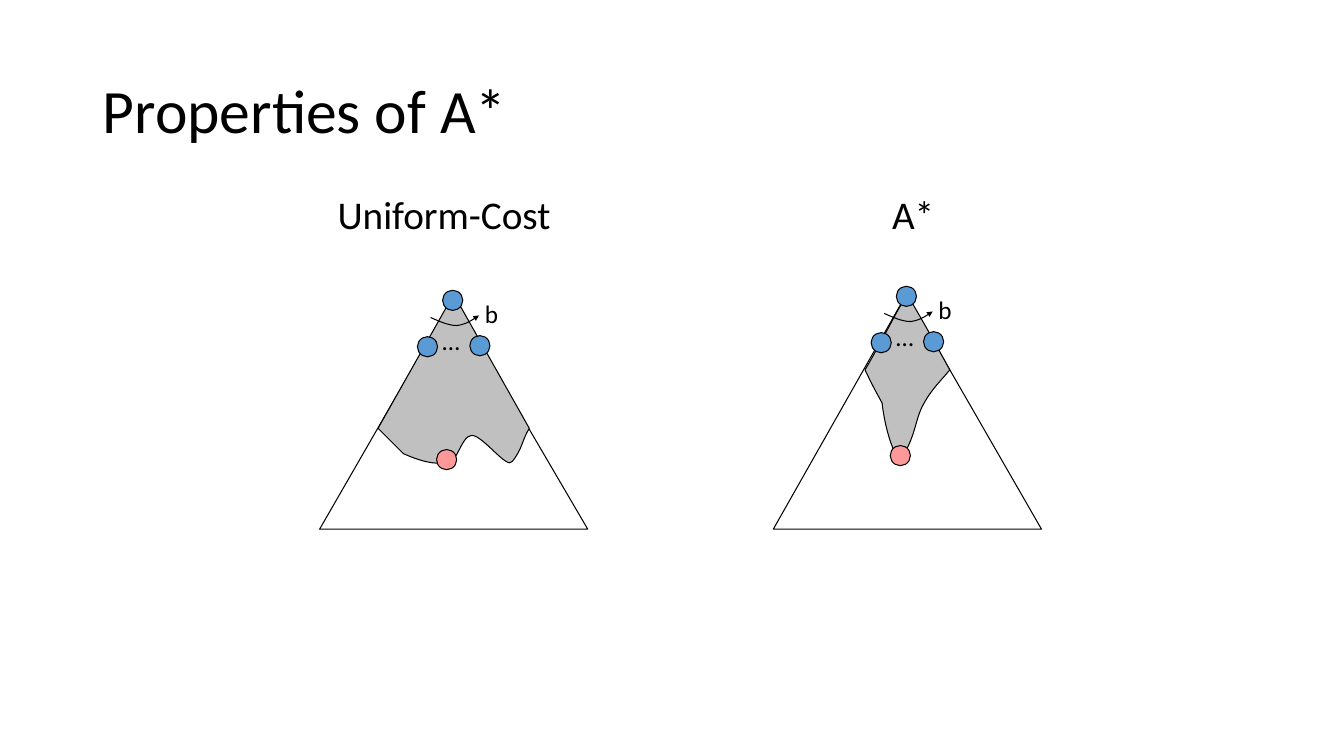
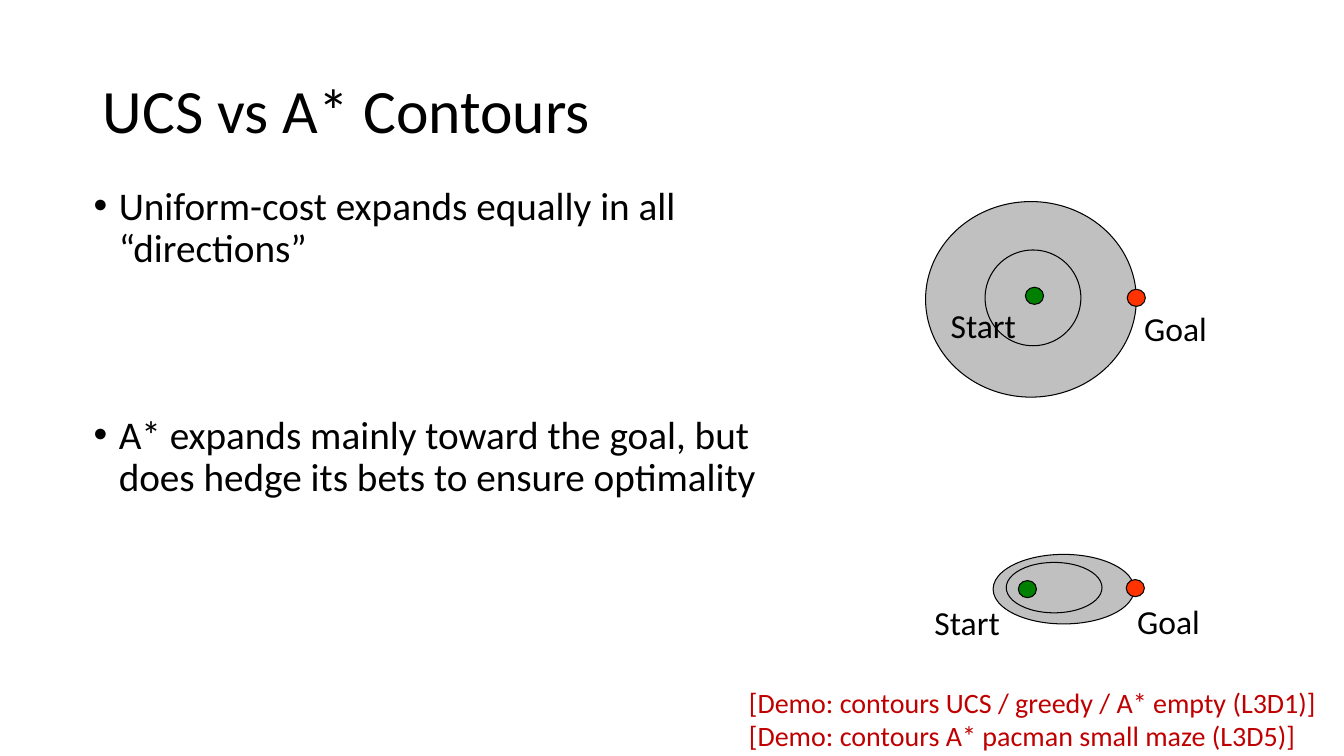
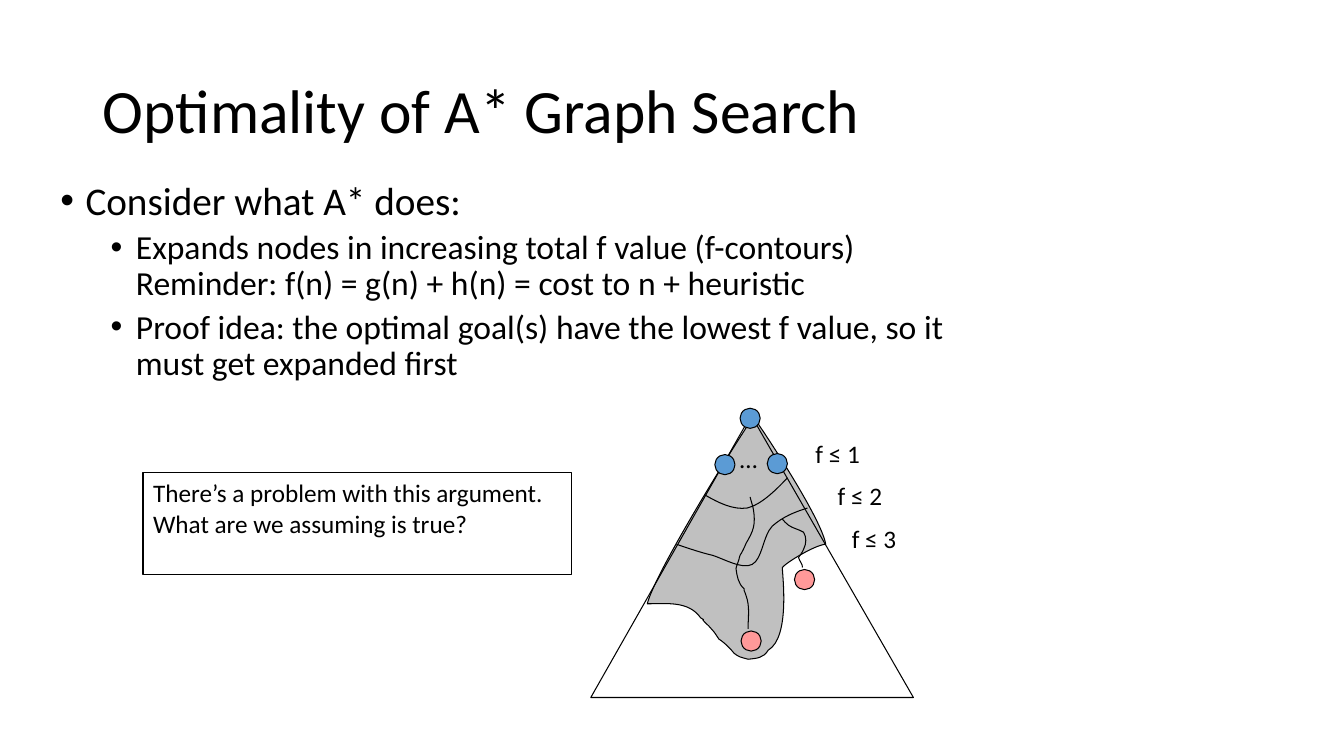
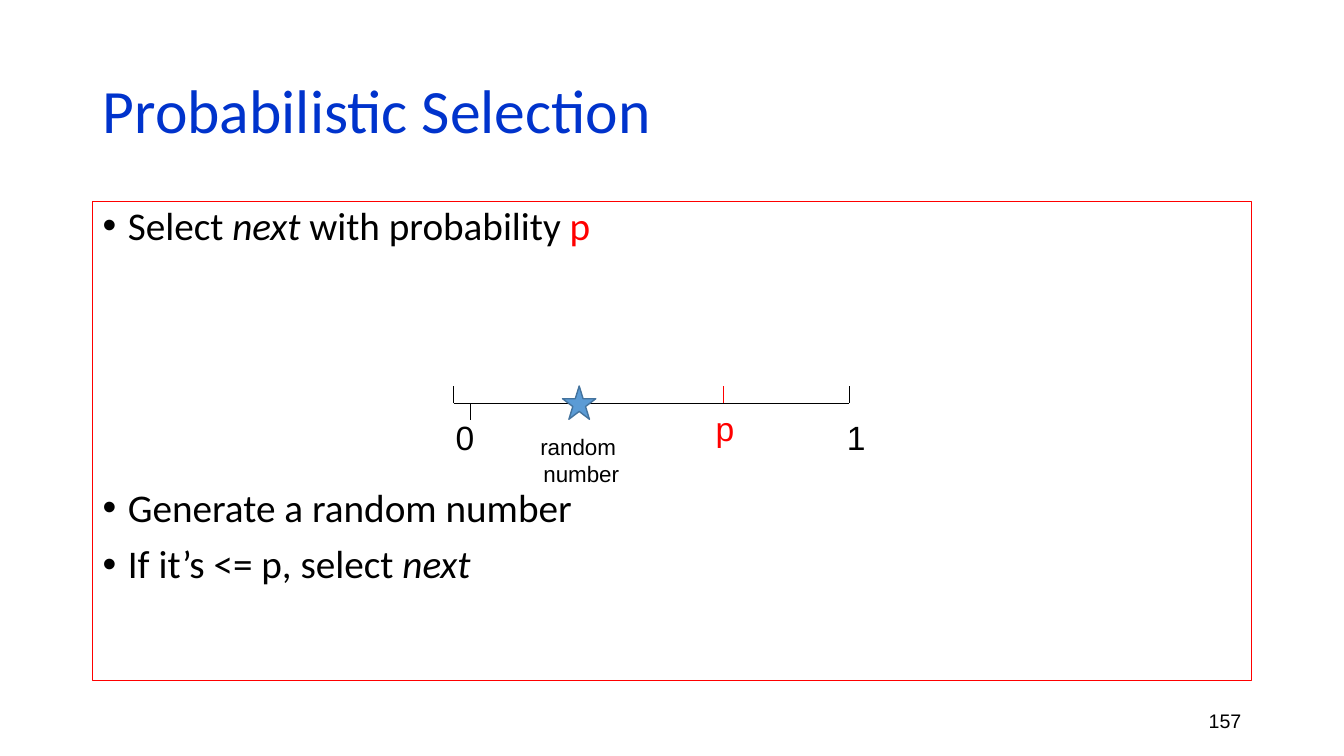
from lxml.etree import SubElement
from pptx import Presentation
from pptx.dml.color import RGBColor
from pptx.enum.shapes import MSO_CONNECTOR, MSO_SHAPE
from pptx.enum.text import MSO_ANCHOR, PP_ALIGN
from pptx.oxml.ns import qn
from pptx.util import Pt

# Scale: 100 px to the inch
PX = 9144

# Colours
BLACK = RGBColor(0x00, 0x00, 0x00)
WHITE = RGBColor(0xFF, 0xFF, 0xFF)
GREY = RGBColor(0xC0, 0xC0, 0xC0)
NODE_BLUE = RGBColor(0x5B, 0x9B, 0xD5)
STAR_EDGE = RGBColor(0x43, 0x73, 0x9E)
GOAL_PINK = RGBColor(0xFF, 0x99, 0x99)
START_GREEN = RGBColor(0x00, 0x80, 0x00)
GOAL_RED = RGBColor(0xFF, 0x33, 0x00)
RED = RGBColor(0xFF, 0x00, 0x00)
DEMO_RED = RGBColor(0xC0, 0x00, 0x00)
TITLE_BLUE = RGBColor(0x00, 0x33, 0xCC)


class Painter:
    """Holds the deck's style and the current slide."""

    font = "Calibri"
    bullet_sizes = (28, 24)

    def __init__(self):
        self.deck = Presentation()
        self.deck.slide_width = 1333 * PX
        self.deck.slide_height = 750 * PX
        self.page = None

    def add_page(self, title, color=BLACK):
        self.page = self.deck.slides.add_slide(self.deck.slide_layouts[5])
        box = self.page.shapes.title
        box.left, box.top, box.width, box.height = (v * PX for v in (92, 40, 1150, 145))
        box.text_frame.vertical_anchor = MSO_ANCHOR.MIDDLE
        para = box.text_frame.paragraphs[0]
        para.alignment = PP_ALIGN.LEFT
        para.line_spacing = 0.9
        self.add_span(para, title, 44, color)

    # Text
    def add_span(self, para, text, size, color=BLACK, italic=False, font=None):
        for index, line in enumerate(text.split("\n")):
            if index:
                para.add_line_break()
            span = para.add_run()
            span.text = line
            span.font.name = font or self.font
            span.font.size = Pt(size)
            span.font.italic = italic
            span.font.color.rgb = color

    def text_box(self, x, y, width, height):
        box = self.page.shapes.add_textbox(x * PX, y * PX, width * PX, height * PX)
        box.text_frame.word_wrap = True
        return box

    def label(self, text, x, y, width, height, size, color=BLACK, font=None,
              align=PP_ALIGN.LEFT, tab=None):
        box = self.text_box(x, y, width, height)
        for index, line in enumerate(text.split("\n")):
            para = box.text_frame.add_paragraph() if index else box.text_frame.paragraphs[0]
            para.alignment = align
            if tab:
                stops = SubElement(para._p.get_or_add_pPr(), qn("a:tabLst"))
                SubElement(stops, qn("a:tab"), pos=str(tab * PX), algn="l")
            self.add_span(para, line, size, color, font=font)
        return box

    def bullets(self, x, y, width, height, items):
        """Each item is (level, space before, [(text, span options), ...])."""
        box = self.text_box(x, y, width, height)
        for index, (level, space, spans) in enumerate(items):
            para = box.text_frame.add_paragraph() if index else box.text_frame.paragraphs[0]
            para.level = level
            properties = para._p.get_or_add_pPr()
            properties.set("marL", str((25 + 50 * level) * PX))
            properties.set("indent", str(-25 * PX))
            SubElement(properties, qn("a:buFont"), typeface="Arial")
            SubElement(properties, qn("a:buChar"), char="•")
            para.line_spacing = 0.9
            para.space_before = Pt(space)
            for text, options in spans:
                self.add_span(para, text, self.bullet_sizes[level], **options)
        return box

    # Shapes
    def finish(self, shape, fill, line=BLACK, weight=0.75):
        shape.shadow.inherit = False
        if fill is None:
            shape.fill.background()
        else:
            shape.fill.solid()
            shape.fill.fore_color.rgb = fill
        shape.line.color.rgb = line
        shape.line.width = Pt(weight)
        return shape

    def preset(self, kind, x, y, width, height, fill=None, **outline):
        shape = self.page.shapes.add_shape(kind, x * PX, y * PX, width * PX, height * PX)
        return self.finish(shape, fill, **outline)

    def oval(self, x, y, width, height, fill=None):
        return self.preset(MSO_SHAPE.OVAL, x, y, width, height, fill)

    def node(self, x, y, fill=NODE_BLUE):
        """A tree node centred at x, y."""
        self.oval(x - 10, y - 10, 20, 20, fill)

    def outline(self, start, segments, fill=None, close=False, arrow=False):
        """Segments are line ends (x, y) or cubic curves (six numbers)."""
        builder = self.page.shapes.build_freeform(start[0] * PX, start[1] * PX, scale=1.0)
        builder.add_line_segments([(s[-2] * PX, s[-1] * PX) for s in segments], close=close)
        shape = self.finish(builder.convert_to_shape(), fill)
        for step, segment in zip(shape._element.xpath(".//a:lnTo"), segments):
            if len(segment) == 6:
                self.bend(step, segment, shape.left, shape.top)
        if arrow:
            SubElement(shape.line._get_or_add_ln(), qn("a:tailEnd"),
                       type="triangle", w="sm", len="sm")

    def bend(self, step, curve, left, top):
        """Turn one straight step of an outline into a cubic curve."""
        step.tag = qn("a:cubicBezTo")
        for point in list(step):
            step.remove(point)
        for x, y in zip(curve[::2], curve[1::2]):
            SubElement(step, qn("a:pt"), x=str(x * PX - left), y=str(y * PX - top))

    def line(self, x1, y1, x2, y2, color=BLACK):
        connector = self.page.shapes.add_connector(
            MSO_CONNECTOR.STRAIGHT, x1 * PX, y1 * PX, x2 * PX, y2 * PX)
        connector.line.color.rgb = color
        connector.line.width = Pt(0.5)
        SubElement(connector._element.spPr, qn("a:effectLst"))

    # Search tree parts
    def triangle(self, left, right, bottom, apex_x, apex_y):
        self.outline((left, bottom), [(right, bottom), (apex_x, apex_y)], close=True)

    def root_and_children(self, x, y):
        self.node(x - 25, y + 46)
        self.node(x + 27, y + 45)
        self.label("…", x - 20, y + 20, 30, 40, 18)
        self.node(x, y)

    def branching(self, x, y):
        """Root, children and the branching arrow marked b."""
        self.outline((x - 22, y + 17),
                     [(x - 13, y + 21, x - 4, y + 25, x + 4, y + 25),
                      (x + 12, y + 24, x + 19, y + 20, x + 26, y + 15)], arrow=True)
        self.label("b", x + 22, y - 7, 33, 40, 18)
        self.root_and_children(x, y)

    def contour(self, outer, inner, start, goal, start_label, goal_label):
        """Nested search contours with a start and a goal."""
        self.oval(*outer, GREY)
        self.oval(*inner)
        for spot, color, text, place in ((start, START_GREEN, "Start", start_label),
                                         (goal, GOAL_RED, "Goal", goal_label)):
            self.oval(*spot, 18, 17, color)
            self.label(text, *place, 100, 50, 24)


def properties_page(paint):
    paint.add_page("Properties of A*")
    uniform_area = ((450, 292), [
        (375, 425), (400, 450), (400, 450, 429, 464, 442, 458),
        (453, 464, 457, 432, 468, 432), (479, 432, 503, 466, 508, 458),
        (518, 446, 518, 436, 525, 425)])
    star_area = ((900, 292), [
        (885, 316, 884, 322, 858, 367), (866, 384, 868, 387, 875, 400),
        (875, 400, 878, 434, 892, 458), (909, 433, 907, 417, 916, 401),
        (924, 386, 934, 377, 942, 367), (917, 321, 910, 310, 900, 292)])
    trees = (("Uniform-Cost", 325, 250, 449, 298, 296, uniform_area),
             ("A*", 875, 67, 899, 294, 292, star_area))
    for name, name_x, name_width, x, y, apex_y, area in trees:
        paint.triangle(x - 132, x + 134, 525, x, apex_y)
        paint.outline(*area, fill=GREY, close=True)
        paint.branching(x, y)
        paint.node(x - 6, y + 158, GOAL_PINK)
        paint.label(name, name_x, 184, name_width, 57, 28)


def contours_page(paint):
    paint.add_page("UCS vs A* Contours")
    paint.bullets(83, 180, 733, 495, [
        (0, 0, [("Uniform-cost expands equally in all “directions”", {})]),
        (0, 103, [("A* expands mainly toward the goal, but does hedge its bets "
                   "to ensure optimality", {})])])
    paint.contour((918, 200, 209, 194), (977, 248, 95, 95),
                  (1017, 285), (1118, 287), (933, 298), (1125, 301))
    paint.contour((985, 550, 140, 69), (998, 558, 95, 50),
                  (1010, 576), (1117, 575), (917, 592), (1118, 591))
    paint.label("[Demo: contours UCS / greedy / A* empty (L3D1)]\n"
                "[Demo: contours A* pacman small maze (L3D5)]",
                733, 675, 600, 77, 20, DEMO_RED)


def optimality_page(paint):
    paint.add_page("Optimality of A* Graph Search")
    # Expanded region and tree
    paint.outline((753, 422), [
        (766, 441, 815, 516, 819, 540), (810, 540, 781, 557, 776, 563),
        (776, 571, 784, 632, 762, 645), (757, 653, 751, 653, 742, 654),
        (735, 652, 733, 652, 728, 648), (725, 644, 718, 637, 713, 634),
        (707, 625, 710, 629, 703, 621), (690, 609, 703, 618, 695, 613),
        (683, 596, 662, 599, 642, 599), (650, 568, 722, 452, 741, 423),
        (759, 394, 750, 422, 753, 422)], fill=GREY, close=True)
    paint.triangle(586, 906, 692, 745, 412)
    paint.bullets(50, 175, 900, 233, [
        (0, 0, [("Consider what A* does:", {})]),
        (1, 5, [("Expands nodes in increasing total f value (f-contours)\n"
                 "Reminder: f(n) = g(n) + h(n) = cost to n + heuristic", {})]),
        (1, 5, [("Proof idea: the optimal goal(s) have the lowest f value, so it "
                 "must get expanded first", {})])])
    paint.root_and_children(744, 415)
    paint.node(798, 575, GOAL_PINK)
    paint.node(745, 636, GOAL_PINK)
    # Routes to the two goals
    paint.outline((744, 493), [
        (745, 497, 746, 500, 747, 504), (750, 521, 747, 527, 740, 539),
        (738, 544, 736, 548, 734, 551), (732, 558, 734, 552, 732, 558),
        (731, 560, 730, 564, 730, 564), (731, 571, 732, 579, 738, 584),
        (738, 585, 738, 587, 739, 588), (739, 589, 740, 590, 740, 591),
        (744, 602, 742, 612, 742, 624)])
    paint.outline((776, 515), [
        (778, 517, 779, 519, 782, 521), (786, 524, 792, 525, 797, 528),
        (800, 533, 800, 539, 797, 545), (796, 548, 792, 553, 792, 553),
        (793, 557, 796, 559, 796, 563)])
    # Contours of equal f
    paint.outline((801, 504), [
        (788, 508, 776, 513, 766, 522), (757, 531, 756, 555, 746, 560),
        (736, 565, 719, 555, 707, 551), (694, 548, 683, 544, 671, 540)])
    paint.outline((781, 474), [
        (768, 488, 754, 501, 741, 504), (727, 506, 713, 499, 699, 491)])
    for bound, (x, y) in enumerate(((799, 430), (821, 472), (835, 514)), 1):
        paint.label(f"f ≤ {bound}", x, y, 90, 40, 18)
    # Question
    question = paint.label("There’s a problem with this argument. "
                           "What are we assuming is true?", 142, 469, 425, 101, 18)
    paint.finish(question, WHITE, weight=1)


def selection_page(paint):
    paint.add_page("Probabilistic Selection", TITLE_BLUE)
    italic = {"italic": True}
    body = paint.bullets(92, 200, 1149, 475, [
        (0, 0, [("Select ", {}), ("next", italic), (" with probability ", {}),
                ("p", {"color": RED})]),
        (0, 171, [("Generate a random number", {})]),
        (0, 10, [("If it’s <= p, select ", {}), ("next", italic)])])
    paint.finish(body, None, RED)
    # Number line from 0 to 1
    paint.line(450, 400, 842, 400)
    for x, end, color in ((450, 383, BLACK), (842, 383, BLACK),
                          (717, 383, RED), (467, 417, BLACK)):
        paint.line(x, 400, x, end, color)
    paint.label("0\t1", 442, 409, 439, 51, 24, font="Arial", tab=388)
    paint.label("p", 700, 400, 39, 51, 24, RED, "Arial")
    paint.preset(MSO_SHAPE.STAR_5_POINT, 558, 383, 33, 33, NODE_BLUE,
                 line=STAR_EDGE, weight=1)
    paint.label("random \nnumber", 525, 425, 103, 64, 16, font="Arial",
                align=PP_ALIGN.CENTER)
    # Page number
    number = paint.label("157", 942, 695, 299, 40, 14, font="Arial", align=PP_ALIGN.RIGHT)
    number.text_frame.vertical_anchor = MSO_ANCHOR.MIDDLE


def main():
    paint = Painter()
    for build in (properties_page, contours_page, optimality_page, selection_page):
        build(paint)
    paint.deck.save("out.pptx")


if __name__ == "__main__":
    main()
